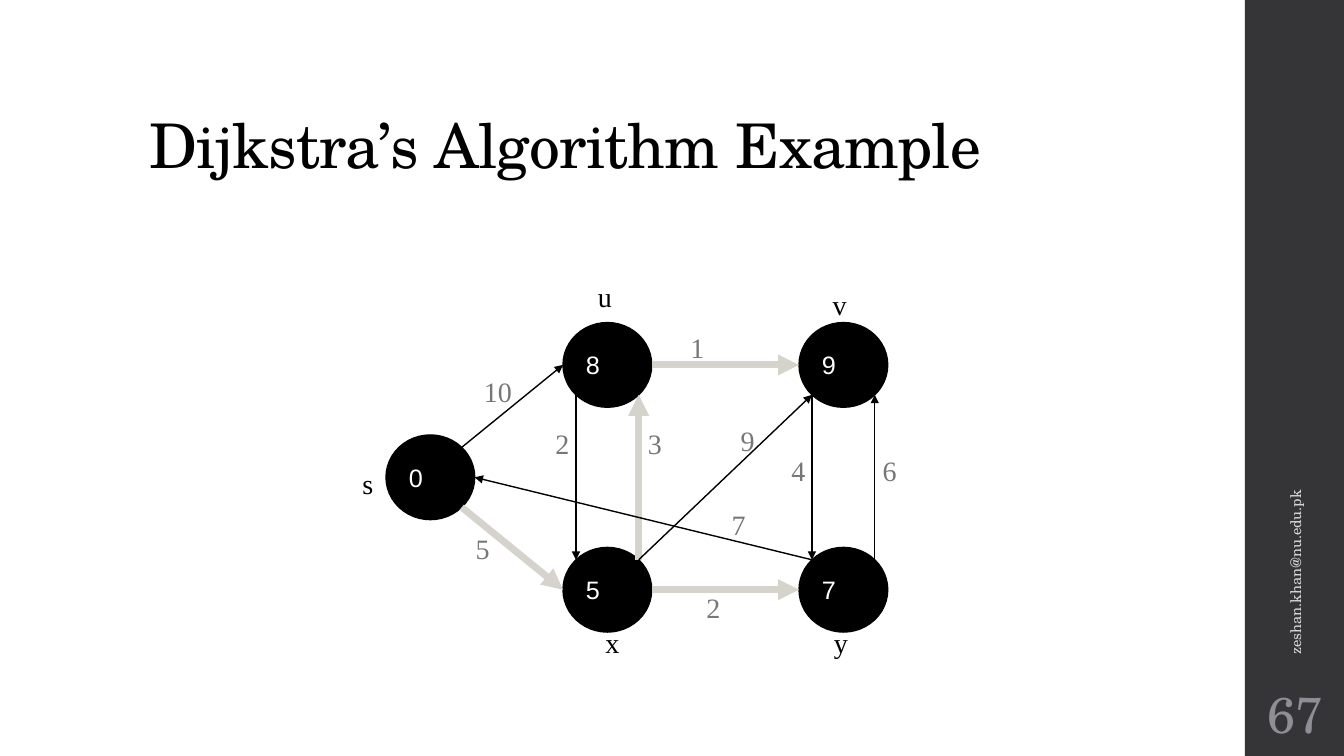
from dataclasses import dataclass
from math import cos, radians, sin

from lxml.etree import SubElement
from pptx import Presentation
from pptx.dml.color import RGBColor
from pptx.enum.shapes import MSO_CONNECTOR, MSO_SHAPE
from pptx.enum.text import MSO_ANCHOR, PP_ALIGN
from pptx.oxml.ns import qn
from pptx.util import Inches, Pt


@dataclass
class Theme:
    ink: str = "000000"
    paper: str = "FFFFFF"
    sidebar: str = "353537"
    email: str = "D9D9DB"
    number: str = "8E8E94"
    weight: str = "777777"
    path_edge: str = "D6D3CC"
    serif: str = "TeX Gyre Schola"
    label: str = "Times New Roman"
    sans: str = "Arial"
    title_size: float = 44
    number_size: float = 36
    label_size: float = 20
    node_size: float = 18
    email_size: float = 10.5


theme = Theme()
prs = Presentation()
prs.slide_width, prs.slide_height = Inches(13.33), Inches(7.5)
s = prs.slides.add_slide(prs.slide_layouts[5])


def pct(x, y):
    return int(prs.slide_width * x / 100), int(prs.slide_height * y / 100)


def write(sp, text, font, size, color, anchor, align=PP_ALIGN.LEFT):
    tf = sp.text_frame
    tf.word_wrap = True
    tf.vertical_anchor = anchor
    p = tf.paragraphs[0]
    p.text = text
    p.alignment = align
    p.font.name, p.font.size = font, Pt(size)
    p.font.color.rgb = RGBColor.from_string(color)
    return p


sp = s.shapes.add_shape(MSO_SHAPE.RECTANGLE, *pct(92.62, 0), *pct(7.5, 100))
sp.shadow.inherit = False
sp.fill.solid()
sp.fill.fore_color.rgb = RGBColor.from_string(theme.sidebar)
sp.line.fill.background()

title = s.shapes.title
title.left, title.top = pct(10.35, 5.33)
title.width, title.height = pct(79.5, 19.33)
p = write(title, "Dijkstra’s Algorithm Example", theme.serif,
          theme.title_size, theme.ink, MSO_ANCHOR.BOTTOM)
p.line_spacing = 0.9
p.runs[0].font._element.set("spc", "-50")

email = s.shapes.add_textbox(*pct(81.67, 59.07), *pct(29.4, 5.33))
email.rotation = 270
write(email, "zeshan.khan@nu.edu.pk", theme.serif, theme.email_size,
      theme.email, MSO_ANCHOR.MIDDLE)

number = s.shapes.add_textbox(*pct(92.62, 90), *pct(7.5, 8.67))
tf = number.text_frame
tf.margin_left = tf.margin_right = tf.margin_top = tf.margin_bottom = Inches(0.05)
write(number, "67", theme.serif, theme.number_size, theme.number,
      MSO_ANCHOR.MIDDLE, PP_ALIGN.CENTER)

left, top = pct(32.02, 48.27)
col, row = pct(4.39, 14.87)
node_w, node_h = pct(6.6, 11.2)

nodes = {"u": (3, 0, "8"), "v": (7, 0, "9"), "x": (3, 2, "5"),
         "y": (7, 2, "7"), "s": (0, 1, "0")}
centers = {}
for name, (c, r, distance) in nodes.items():
    cx, cy = centers[name] = left + c * col, top + r * row
    sp = s.shapes.add_shape(MSO_SHAPE.OVAL, cx - node_w // 2, cy - node_h // 2,
                            node_w, node_h)
    sp.shadow.inherit = False
    sp.fill.solid()
    sp.fill.fore_color.rgb = RGBColor.from_string(theme.ink)
    sp.line.color.rgb = RGBColor.from_string(theme.ink)
    sp.line.width = Pt(1)
    write(sp, distance, theme.sans, theme.node_size, theme.paper, MSO_ANCHOR.MIDDLE)

edges = [
    ("x", -45, "u", 45, True),
    ("u", 135, "x", -135, False),
    ("u", 0, "v", 180, True),
    ("x", -45, "v", 135, False),
    ("v", 135, "y", -135, False),
    ("y", -45, "v", 45, False),
    ("x", 0, "y", 180, True),
    ("y", -135, "s", 0, False),
    ("s", 45, "x", 180, True),
    ("s", -45, "u", 180, False),
]
for start, start_angle, end, end_angle, on_path in edges:
    ends = []
    for name, angle in ((start, start_angle), (end, end_angle)):
        cx, cy = centers[name]
        ends += [int(cx + node_w / 2 * cos(radians(angle))),
                 int(cy + node_h / 2 * sin(radians(angle)))]
    edge = s.shapes.add_connector(MSO_CONNECTOR.STRAIGHT, *ends)
    edge.line.color.rgb = RGBColor.from_string(theme.path_edge if on_path else theme.ink)
    edge.line.width = Pt(5 if on_path else 1)
    spPr = edge._element.spPr
    SubElement(spPr.find(qn("a:ln")), qn("a:tailEnd")).set("type", "triangle")
    SubElement(spPr, qn("a:effectLst"))

labels = [
    ("u", 2.67, -0.8, 1), ("v", 6.65, -0.73, 1), ("y", 6.67, 2.27, 1),
    ("x", 2.8, 2.27, 1), ("s", -1.32, 0.86, 1),
    ("5", 0.6, 1.44, 1.5), ("10", 0.74, 0.04, 1.5), ("1", 4.24, -0.35, 1.5),
    ("2", 1.95, 0.5, 1), ("3", 3.52, 0.5, 1), ("9", 5.09, 0.48, 1),
    ("4", 5.95, 0.74, 1), ("6", 7.5, 0.74, 1), ("7", 4.94, 1.22, 1),
    ("2", 4.51, 1.96, 1),
]
for text, c, r, cols in labels:
    sp = s.shapes.add_textbox(int(left + c * col), int(top + r * row),
                              int(cols * col), int(0.39 * row))
    write(sp, text, theme.label, theme.label_size,
          theme.ink if text in nodes else theme.weight, MSO_ANCHOR.TOP)

prs.save("out.pptx")
